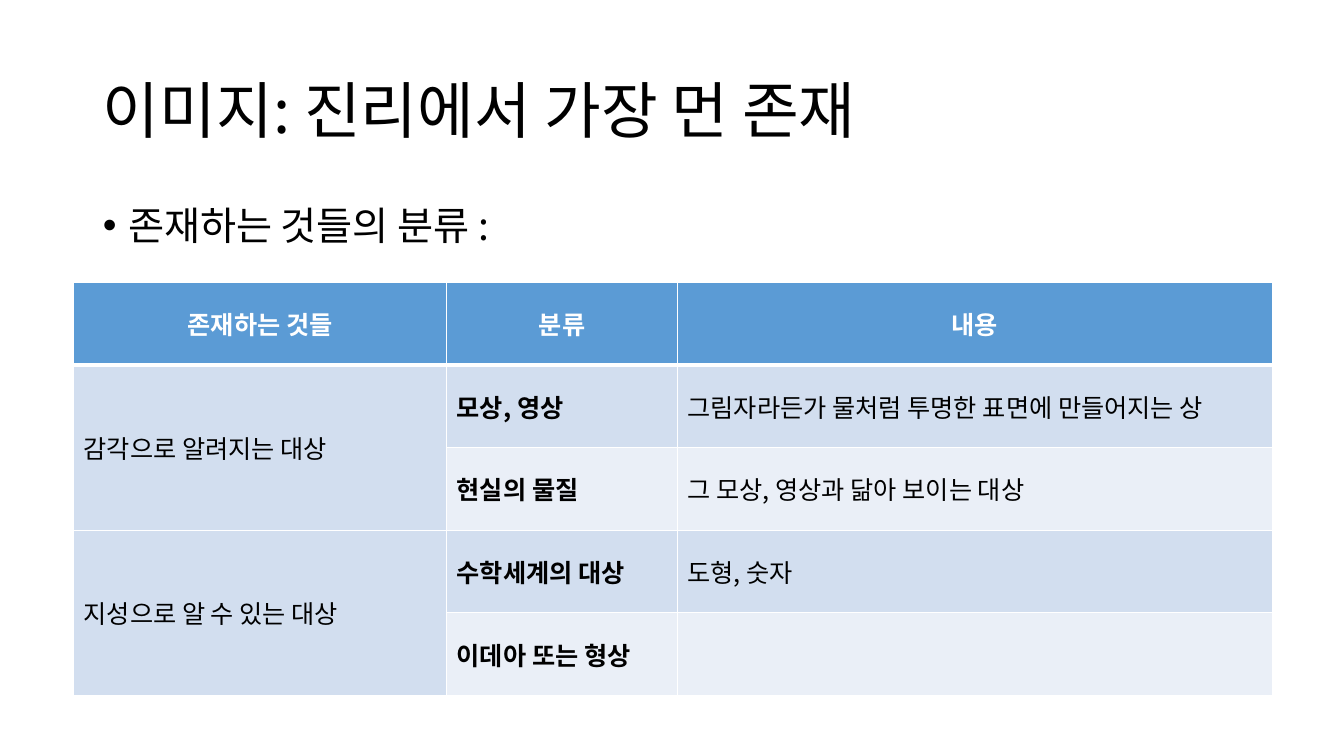
from lxml import etree
from pptx import Presentation
from pptx.dml.color import RGBColor
from pptx.enum.text import MSO_ANCHOR, MSO_AUTO_SIZE, PP_ALIGN
from pptx.oxml.ns import qn
from pptx.util import Inches, Pt

MIDDLE, TOP = MSO_ANCHOR.MIDDLE, MSO_ANCHOR.TOP
LEFT, CENTER = PP_ALIGN.LEFT, PP_ALIGN.CENTER
NO_AUTOFIT = MSO_AUTO_SIZE.NONE
FONT = "Noto Sans CJK KR"
BLACK, WHITE = "000000", "FFFFFF"
HEADER_FILL, BAND_FILLS = "5B9BD5", ("D2DEEF", "EAEFF7")

# Content
TITLE = "이미지: 진리에서 가장 먼 존재"
BULLET = "존재하는 것들의 분류 : "
HEADERS = ("존재하는 것들", "분류", "내용")
GROUPS = [
    ("감각으로 알려지는 대상", [
        ("모상, 영상", "그림자라든가 물처럼 투명한 표면에 만들어지는 상"),
        ("현실의 물질", "그 모상, 영상과 닮아 보이는 대상")]),
    ("지성으로 알 수 있는 대상", [
        ("수학세계의 대상", "도형, 숫자"),
        ("이데아 또는 형상", "")]),
]

# Layout in inches
TITLE_BOX = (0.92, 0.4, 11.5, 1.45)
BODY_BOX = (0.92, 2, 11.5, 4.76)
TABLE_LEFT, TABLE_TOP, ROW_HEIGHT = 0.73, 2.8, 0.82
COLUMN_WIDTHS = (3.7, 2.29, 5.9)


def color(value):
    return RGBColor.from_string(value)


def write(frame, text, size=18, ink=BLACK, bold=False, align=LEFT, spacing=1.0, before=0):
    paragraph = frame.paragraphs[0]
    paragraph.alignment, paragraph.line_spacing = align, spacing
    paragraph.space_before = Pt(before)
    run = paragraph.add_run()
    run.text = text
    run.font.name, run.font.size, run.font.bold = FONT, Pt(size), bold
    run.font.color.rgb = color(ink)
    etree.SubElement(run._r.get_or_add_rPr(), qn("a:ea"), typeface=FONT)
    return paragraph


def place(shape, box, anchor):
    shape.left, shape.top, shape.width, shape.height = map(Inches, box)
    frame = shape.text_frame
    frame.auto_size, frame.vertical_anchor = NO_AUTOFIT, anchor
    return frame


def set_borders(cell, **widths):
    properties = cell._tc.get_or_add_tcPr()
    for index, side in enumerate("LRTB"):
        line = etree.Element(qn(f"a:ln{side}"), w=str(Pt(widths.get(side, 1))))
        solid = etree.SubElement(line, qn("a:solidFill"))
        etree.SubElement(solid, qn("a:srgbClr"), val=WHITE)
        properties.insert(index, line)


def format_cell(cell, text, background, **text_format):
    cell.fill.solid()
    cell.fill.fore_color.rgb = color(background)
    cell.vertical_anchor = MIDDLE
    if text:
        write(cell.text_frame, text, **text_format)


presentation = Presentation()
presentation.slide_width, presentation.slide_height = Inches(13.33), Inches(7.5)
slide = presentation.slides.add_slide(presentation.slide_layouts[1])

# Title and bullet
title, body = slide.placeholders
write(place(title, TITLE_BOX, MIDDLE), TITLE, size=44, spacing=0.9)
bullet = write(place(body, BODY_BOX, TOP), BULLET, size=28, spacing=0.9, before=10)
bullet_properties = bullet._p.get_or_add_pPr()
bullet_properties.set("marL", str(Inches(0.25)))
bullet_properties.set("indent", str(Inches(-0.25)))
etree.SubElement(bullet_properties, qn("a:buFont"), typeface="Arial")
etree.SubElement(bullet_properties, qn("a:buChar"), char="•")

# Classification table
row_count = 1 + sum(len(kinds) for _, kinds in GROUPS)
table = slide.shapes.add_table(
    row_count, len(HEADERS), Inches(TABLE_LEFT), Inches(TABLE_TOP),
    Inches(sum(COLUMN_WIDTHS)), Inches(ROW_HEIGHT * row_count)).table
for column, width in zip(table.columns, COLUMN_WIDTHS):
    column.width = Inches(width)
for row in table.rows:
    row.height = Inches(ROW_HEIGHT)

# Header row
for column, header in enumerate(HEADERS):
    cell = table.cell(0, column)
    format_cell(cell, header, HEADER_FILL, ink=WHITE, bold=True, align=CENTER)
    set_borders(cell, B=3)

# Groups: one merged cell beside its banded rows
first_row = 1
for group, kinds in GROUPS:
    for offset, (kind, content) in enumerate(kinds):
        row = first_row + offset
        band = BAND_FILLS[offset % 2]
        format_cell(table.cell(row, 0), "" if offset else group, BAND_FILLS[0])
        format_cell(table.cell(row, 1), kind, band, bold=True)
        format_cell(table.cell(row, 2), content, band)
        for column in range(len(HEADERS)):
            set_borders(table.cell(row, column), T=3 if row == 1 else 1)
    table.cell(first_row, 0).merge(table.cell(row, 0))
    first_row += len(kinds)

presentation.save("out.pptx")
